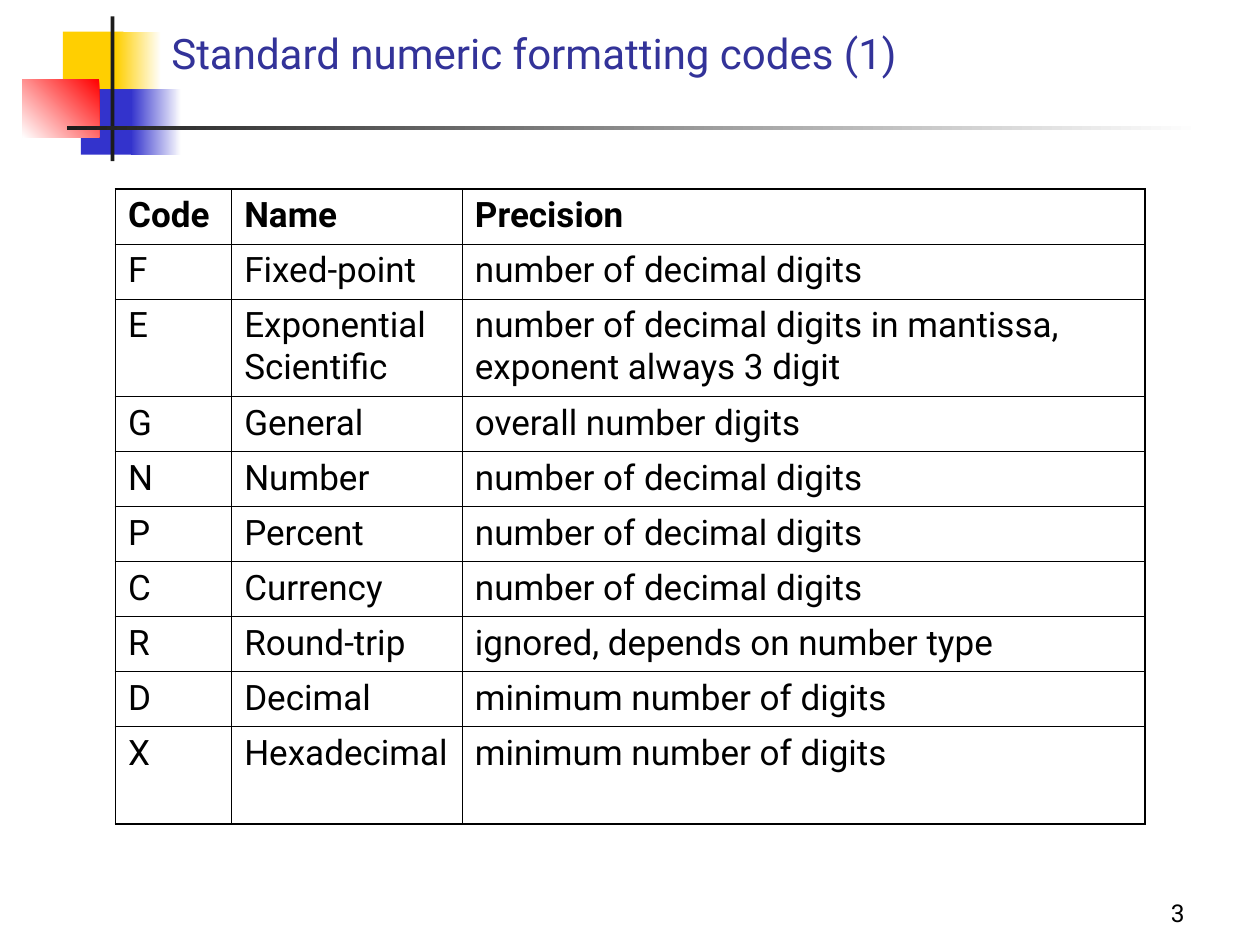
from dataclasses import dataclass
from typing import Any, Optional

from lxml import etree
from pptx import Presentation
from pptx import util as u
from pptx.dml.color import RGBColor
from pptx.enum import shapes, text
from pptx.oxml import ns

COLORS = {
    "yellow": "FFCF01",
    "blue": "3333CC",
    "red": "FF0000",
    "dark": "1C1C1C",
    "white": "FFFFFF",
    "title": "333399",
    "text": "000000",
}
FONT = "Roboto"
THIN, THICK = 0.45, 1.08
COLUMN_WIDTHS = (2.34, 4.65, 13.76)
SINGLE_ROW, DOUBLE_ROW = 1.11, 1.96


@dataclass
class Block:
    left: float
    top: float
    width: float
    height: float
    start: str
    end: Optional[str] = None
    angle: int = 180


@dataclass
class Code:
    letter: str
    name: str
    precision: str
    height: float = SINGLE_ROW


BLOCKS = [
    Block(1.27, 0.64, 1.22, 1.32, "yellow"),
    Block(2.34, 0.64, 0.91, 1.32, "white", "yellow"),
    Block(1.63, 1.8, 1.17, 1.32, "blue"),
    Block(2.64, 1.8, 1.02, 1.32, "white", "blue"),
    Block(0.45, 1.6, 1.55, 1.17, "red", "white", 225),
    Block(2.23, 0.33, 0.08, 2.92, "dark"),
    Block(1.35, 2.54, 22.86, 0.08, "white", "dark"),
]

CODES = [
    Code("Code", "Name", "Precision"),
    Code("F", "Fixed-point", "number of decimal digits"),
    Code("E", "Exponential\nScientific",
         "number of decimal digits in mantissa, exponent always 3 digit", DOUBLE_ROW),
    Code("G", "General", "overall number digits"),
    Code("N", "Number", "number of decimal digits"),
    Code("P", "Percent", "number of decimal digits"),
    Code("C", "Currency", "number of decimal digits"),
    Code("R", "Round-trip", "ignored, depends on number type"),
    Code("D", "Decimal", "minimum number of digits"),
    Code("X", "Hexadecimal", "minimum number of digits", DOUBLE_ROW),
]


def rgb(key: str) -> RGBColor:
    return RGBColor.from_string(COLORS[key])


def apply(target: Any, values: dict) -> None:
    for attribute, value in values.items():
        setattr(target, attribute, value)


def write(frame: Any, content: str, size: int, color: str = "text",
          bold: bool = False, align: Any = text.PP_ALIGN.LEFT) -> None:
    frame.text = content
    for paragraph in frame.paragraphs:
        paragraph.alignment = align
        apply(paragraph.runs[0].font, {"name": FONT, "size": u.Pt(size), "bold": bold})
        paragraph.runs[0].font.color.rgb = rgb(color)


def draw_block(slide: Any, block: Block) -> None:
    box = map(u.Cm, (block.left, block.top, block.width, block.height))
    square = slide.shapes.add_shape(shapes.MSO_SHAPE.RECTANGLE, *box)
    square.shadow.inherit = False
    square.line.fill.background()
    if block.end is None:
        square.fill.solid()
        square.fill.fore_color.rgb = rgb(block.start)
        return
    square.fill.gradient()
    square.fill.gradient_angle = block.angle
    for stop, color in zip(square.fill.gradient_stops, (block.start, block.end)):
        stop.color.rgb = rgb(color)


def draw_borders(cell: Any, outer: dict) -> None:
    properties = cell._tc.get_or_add_tcPr()
    for side in "LRTB":
        width = u.Pt(THICK if outer[side] else THIN)
        line = etree.SubElement(properties, ns.qn(f"a:ln{side}"), w=str(int(width)))
        fill = etree.SubElement(line, ns.qn("a:solidFill"))
        etree.SubElement(fill, ns.qn("a:srgbClr"), val=COLORS["text"])


def draw_table(slide: Any, codes: list) -> None:
    size = (sum(COLUMN_WIDTHS), sum(code.height for code in codes))
    table = slide.shapes.add_table(
        len(codes), len(COLUMN_WIDTHS), *map(u.Cm, (2.33, 3.81, *size))).table
    apply(table, {"first_row": False, "horz_banding": False})
    for column, width in zip(table.columns, COLUMN_WIDTHS):
        column.width = u.Cm(width)
    last_row, last_column = len(codes) - 1, len(COLUMN_WIDTHS) - 1
    for r, code in enumerate(codes):
        table.rows[r].height = u.Cm(code.height)
        for c, content in enumerate((code.letter, code.name, code.precision)):
            cell = table.cell(r, c)
            write(cell.text_frame, content, 20, bold=r == 0)
            draw_borders(cell, {"L": c == 0, "R": c == last_column,
                                "T": r == 0, "B": r == last_row})
            cell.fill.background()


def main() -> None:
    deck = Presentation()
    apply(deck, {"slide_width": u.Cm(25.4), "slide_height": u.Cm(19.05)})
    slide = deck.slides.add_slide(deck.slide_layouts[5])
    for block in BLOCKS:
        draw_block(slide, block)

    bottom_text = {"word_wrap": True, "auto_size": text.MSO_AUTO_SIZE.NONE,
                   "vertical_anchor": text.MSO_ANCHOR.BOTTOM}
    title = slide.shapes.title
    apply(title, {"left": u.Cm(3.2), "top": u.Cm(0.46),
                  "width": u.Cm(21.64), "height": u.Cm(1.24)})
    apply(title.text_frame, bottom_text)
    write(title.text_frame, "Standard numeric formatting codes (1)", 24, "title")

    draw_table(slide, CODES)

    page_number = slide.shapes.add_textbox(*map(u.Cm, (21.39, 17.98, 2.74, 0.84)))
    apply(page_number.text_frame, bottom_text)
    write(page_number.text_frame, "3", 14, align=text.PP_ALIGN.RIGHT)

    deck.save("out.pptx")


if __name__ == "__main__":
    main()
